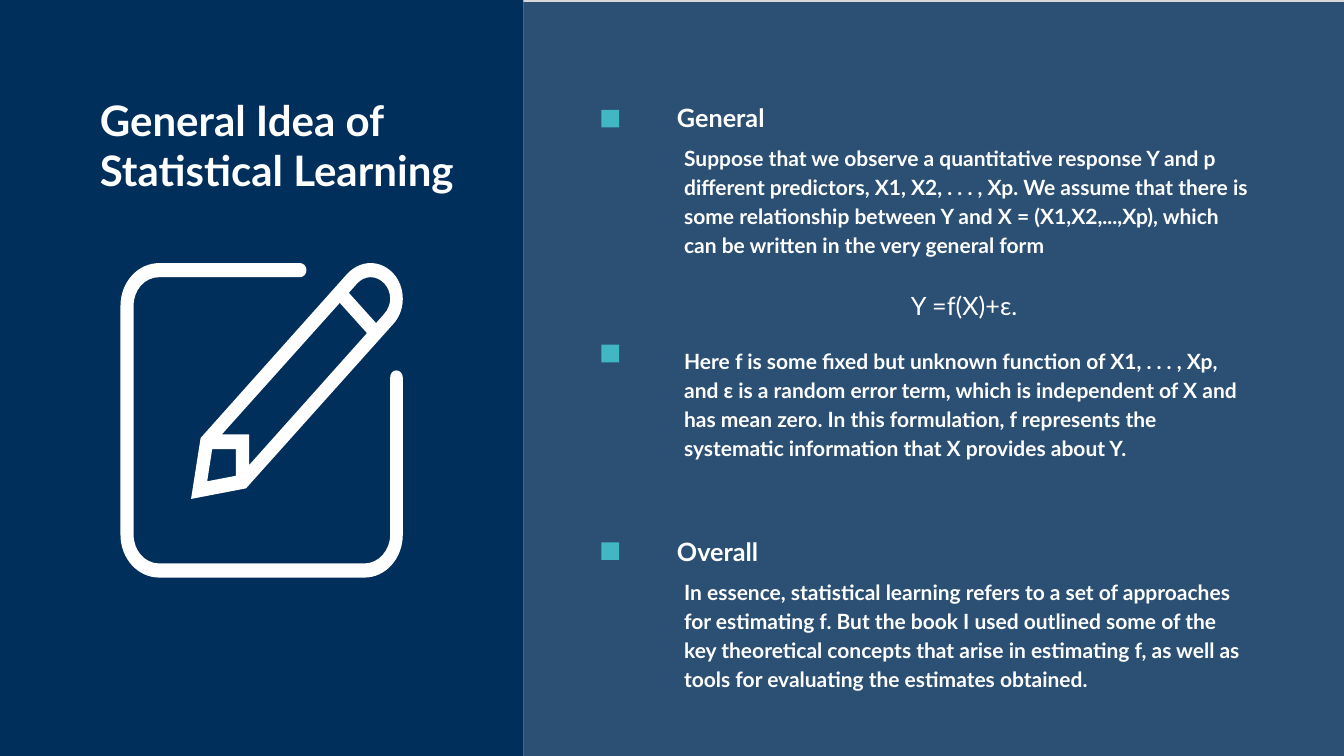
from lxml.etree import SubElement
from pptx import Presentation
from pptx.dml.color import RGBColor
from pptx.enum.shapes import MSO_SHAPE as SHAPE
from pptx.enum.text import MSO_ANCHOR as ANCHOR, MSO_AUTO_SIZE as AUTO, PP_ALIGN as ALIGN
from pptx.oxml.ns import qn
from pptx.util import Pt

PX = 9144  # EMU per px, 100 px to the inch
W, H = 2666, 1500
SPLIT = 1038
NAVY, TEAL, GREY, WHITE = "002F5B", "41B7C4", "D8D8D8", "FFFFFF"

# Icon outlines: two numbers are a line end, six are a Bézier curve
FRAME = [
    (547, 213), (540, 213, 535, 219, 535, 227), (535, 539),
    (535, 570, 512, 596, 484, 596), (77, 596), (48, 596, 26, 570, 26, 539),
    (26, 85), (26, 53, 48, 28, 77, 28), (356, 28),
    (363, 28, 369, 22, 369, 14), (369, 6, 363, 0, 356, 0), (77, 0),
    (34, 0, 0, 38, 0, 85), (0, 539), (0, 586, 34, 624, 77, 624), (484, 624),
    (526, 624, 560, 586, 560, 539), (560, 227), (560, 219, 554, 213, 547, 213),
]
TIP = [(182, 369), (229, 369), (229, 422), (172, 433)]
BARREL = [(435, 79), (489, 139), (255, 401), (255, 340), (201, 340)]
ERASER = [
    (469, 41), (476, 33, 486, 28, 496, 28), (517, 28, 535, 47, 535, 71),
    (535, 82, 530, 93, 523, 101), (507, 119), (453, 59),
]
PENCIL = [
    (140, 468), (249, 447), (541, 121), (553, 108, 560, 90, 560, 71),
    (560, 31, 531, 0, 496, 0), (479, 0, 463, 8, 451, 20), (159, 347),
]
OUTLINES = (FRAME, TIP, BARREL, ERASER, PENCIL)


def color(value):
    return RGBColor.from_string(value)


def place(sp, x, y, w, h):
    for name, value in dict(left=x, top=y, width=w, height=h).items():
        setattr(sp, name, value * PX)


def paint(sp, fill, alpha=None):
    sp.shadow.inherit = False
    sp.fill.solid()
    sp.fill.fore_color.rgb = color(fill)
    sp.line.fill.background()
    if alpha is not None:
        clr = sp._element.spPr.find(qn("a:solidFill"))[0]
        SubElement(clr, qn("a:alpha"), val=str(alpha * 1000))


def add_rect(s, x, y, w, h, fill, alpha=None):
    sp = s.shapes.add_shape(SHAPE.RECTANGLE, x * PX, y * PX, w * PX, h * PX)
    paint(sp, fill, alpha)


def format_frame(tf, mx, my):
    settings = dict(
        word_wrap=True, auto_size=AUTO.NONE, vertical_anchor=ANCHOR.TOP,
        margin_left=mx * PX, margin_right=mx * PX,
        margin_top=my * PX, margin_bottom=my * PX,
    )
    for name, value in settings.items():
        setattr(tf, name, value)


def write(p, text, size, bold=True, **layout):
    r = p.add_run()
    r.text = text
    for name, value in dict(name="Lato", size=Pt(size), bold=bold).items():
        setattr(r.font, name, value)
    r.font.color.rgb = color(WHITE)
    for name, value in dict(alignment=ALIGN.LEFT, **layout).items():
        setattr(p, name, value)


def add_text(s, x, y, w, h, text, size, margins, **layout):
    tb = s.shapes.add_textbox(x * PX, y * PX, w * PX, h * PX)
    format_frame(tb.text_frame, *margins)
    write(tb.text_frame.paragraphs[0], text, size, **layout)
    return tb.text_frame


def add_icon(s, x, y):
    builder = s.shapes.build_freeform(*OUTLINES[0][0], scale=PX)
    for outline in OUTLINES:
        if outline is not OUTLINES[0]:
            builder.move_to(*outline[0])
        builder.add_line_segments([seg[-2:] for seg in outline[1:]], close=True)
    sp = builder.convert_to_shape(x * PX, y * PX)
    paint(sp, WHITE)
    # Bend the lines that stand for Bézier curves
    segments = [seg for outline in OUTLINES for seg in outline[1:]]
    for line, seg in zip(list(sp._element.iter(qn("a:lnTo"))), segments):
        if len(seg) == 6:
            line.tag = qn("a:cubicBezTo")
            line.remove(line[0])
            for px, py in zip(seg[::2], seg[1::2]):
                SubElement(line, qn("a:pt"), x=str(px), y=str(py))


def add_title_panel(s, x, y, w, h):
    add_rect(s, x, y, w, h, NAVY)
    title = s.shapes.title
    s.shapes._spTree.append(title._element)  # bring in front of the panel
    place(title, x + 188, y + 182, 742, 313)
    format_frame(title.text_frame, 10, 5)
    write(title.text_frame.paragraphs[0], "General Idea of Statistical Learning", 60)
    add_icon(s, x + 239, y + 522)


def add_section(s, x, y, marker_y, body_y, body, body_h=250, heading=None, heading_w=0):
    """Place a square marker with its heading and body, offset from x, y."""
    add_rect(s, x, y + marker_y, 35, 35, TEAL)
    if heading:
        add_text(s, x + 140, y, heading_w, 71, heading, 36, (10, 5))
    return add_text(s, x + 140, y + body_y, 1175, body_h, body, 30, (24, 12),
                    line_spacing=1.15)


def add_content_panel(s, x, y, w, h):
    add_rect(s, x, y, w, h, GREY)
    add_rect(s, x, y + 4, w, h, NAVY, alpha=80)
    left = x + 155
    tf = add_section(
        s, left, y + 199, 19, 70,
        "Suppose that we observe a quantitative response Y and p different predictors, "
        "X1, X2, . . . , Xp. We assume that there is some relationship between Y and "
        "X = (X1,X2,...,Xp), which can be written in the very general form",
        heading="General", heading_w=321)
    # Formula, indented under the first section
    p = tf.add_paragraph()
    p._p.get_or_add_pPr().set("marL", str(400 * PX))
    p._p.get_or_add_pPr().set("indent", str(50 * PX))
    write(p, "Y =f(X)+ε.", 36, bold=False, line_spacing=1.15, space_before=Pt(41))
    add_section(
        s, left, y + 673, 11, 0,
        "Here f is some fixed but unknown function of X1, . . . , Xp, and ε is a random "
        "error term, which is independent of X and has mean zero. In this formulation, "
        "f represents the systematic information that X provides about Y.")
    add_section(
        s, left, y + 1059, 17, 71,
        "In essence, statistical learning refers to a set of approaches for estimating f. "
        "But the book I used outlined some of the key theoretical concepts that arise in "
        "estimating f, as well as tools for evaluating the estimates obtained.",
        body_h=580, heading="Overall", heading_w=385)


def main():
    prs = Presentation()
    prs.slide_width, prs.slide_height = W * PX, H * PX
    s = prs.slides.add_slide(prs.slide_layouts[5])
    s.background.fill.solid()
    s.background.fill.fore_color.rgb = color("FEFFFE")
    add_content_panel(s, SPLIT, 0, 1630, H)
    add_title_panel(s, 0, 0, SPLIT, H)
    prs.save("out.pptx")


if __name__ == "__main__":
    main()
